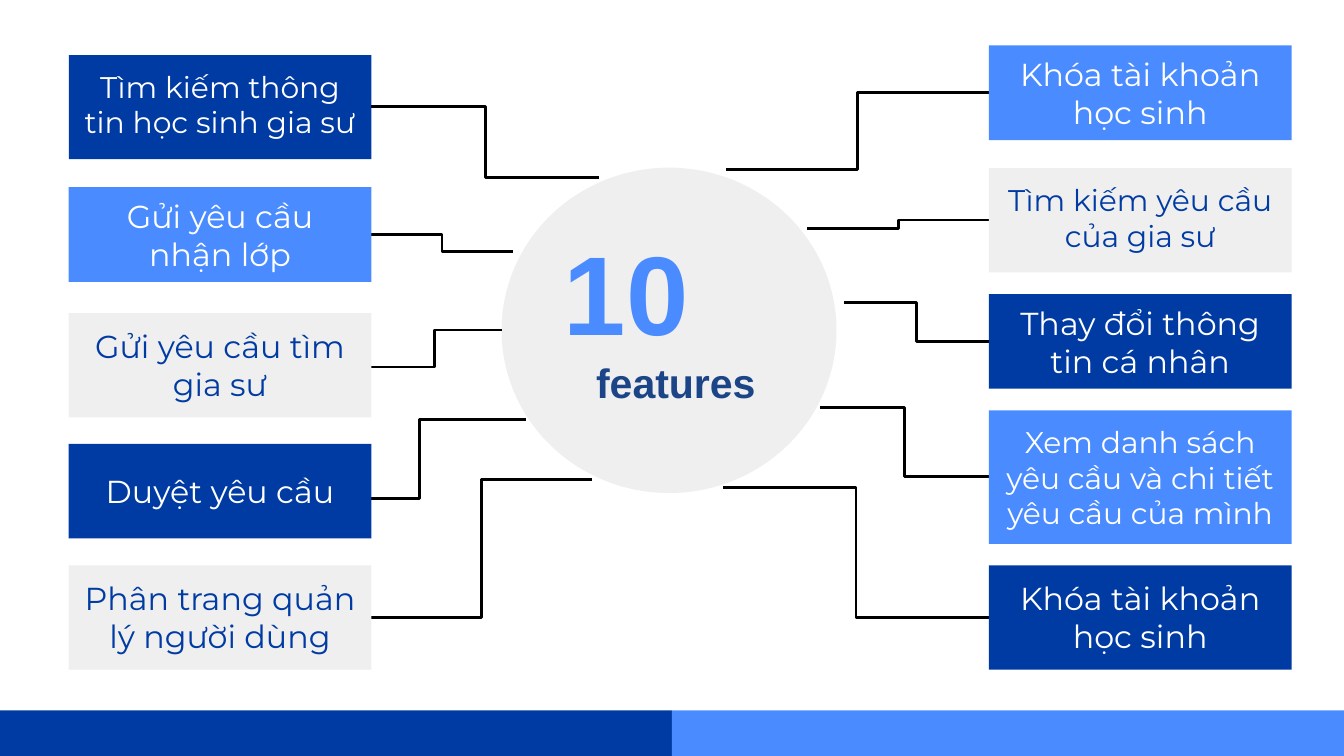
from dataclasses import dataclass

from lxml import etree
from pptx import Presentation
from pptx.dml.color import RGBColor
from pptx.enum.shapes import MSO_CONNECTOR, MSO_SHAPE
from pptx.enum.text import MSO_ANCHOR, MSO_AUTO_SIZE, PP_ALIGN
from pptx.oxml.ns import qn
from pptx.shapes.autoshape import Shape
from pptx.slide import Slide
from pptx.text.text import TextFrame
from pptx.util import Cm, Pt

RECTANGLE = MSO_SHAPE.RECTANGLE
OVAL = MSO_SHAPE.OVAL
ELBOW = MSO_CONNECTOR.ELBOW
TOP = MSO_ANCHOR.TOP
MIDDLE = MSO_ANCHOR.MIDDLE
CENTER = PP_ALIGN.CENTER
LEFT = PP_ALIGN.LEFT
NO_AUTOFIT = MSO_AUTO_SIZE.NONE

NAVY = "003BA3"
BLUE = "4A8CFF"
GREY = "EFEFEF"
WHITE = "FFFFFF"
BLACK = "000000"
INK = "1C4587"

SLIDE_WIDTH, SLIDE_HEIGHT = 25.4, 14.29
BAR_TOP = 13.43
CARD_WIDTH = 5.72
LEFT_COLUMN, RIGHT_COLUMN = 1.3, 18.69
INSET = 0.25


@dataclass(frozen=True)
class Feature:
    text: str
    left: float
    top: float
    height: float
    fill: str
    size: int
    anchor: MSO_ANCHOR


@dataclass(frozen=True)
class Branch:
    start_x: float
    start_y: float
    end_x: float
    end_y: float


FEATURES = [
    Feature("Tìm kiếm thông tin học sinh gia sư", LEFT_COLUMN, 1.04, 1.97, NAVY, 16, TOP),
    Feature("Gửi yêu cầu nhận lớp", LEFT_COLUMN, 3.54, 1.79, BLUE, 17, MIDDLE),
    Feature("Gửi yêu cầu tìm gia sư", LEFT_COLUMN, 5.92, 1.97, GREY, 17, TOP),
    Feature("Duyệt yêu cầu", LEFT_COLUMN, 8.39, 1.79, NAVY, 17, MIDDLE),
    Feature("Phân trang quản lý người dùng", LEFT_COLUMN, 10.69, 1.97, GREY, 17, TOP),
    Feature("Khóa tài khoản học sinh", RIGHT_COLUMN, 0.86, 1.79, BLUE, 17, MIDDLE),
    Feature("Tìm kiếm yêu cầu của gia sư", RIGHT_COLUMN, 3.18, 1.97, GREY, 16, TOP),
    Feature("Thay đổi thông tin cá nhân", RIGHT_COLUMN, 5.56, 1.79, NAVY, 17, MIDDLE),
    Feature("Xem danh sách yêu cầu và chi tiết yêu cầu của mình",
            RIGHT_COLUMN, 7.76, 2.52, BLUE, 16, MIDDLE),
    Feature("Khóa tài khoản học sinh", RIGHT_COLUMN, 10.69, 1.97, NAVY, 17, TOP),
]

LEFT_EDGE = LEFT_COLUMN + CARD_WIDTH
BRANCHES = [
    Branch(LEFT_EDGE, 2.01, 11.32, 3.35),
    Branch(LEFT_EDGE, 4.43, 9.69, 4.75),
    Branch(6.96, 6.94, 9.48, 6.24),
    Branch(5.92, 9.43, 9.94, 7.93),
    Branch(LEFT_EDGE, 11.67, 11.18, 9.07),
    Branch(RIGHT_COLUMN, 1.75, 13.72, 3.2),
    Branch(RIGHT_COLUMN, 4.16, 15.26, 4.32),
    Branch(RIGHT_COLUMN, 6.45, 15.95, 5.72),
    Branch(RIGHT_COLUMN, 9.01, 15.5, 7.7),
    Branch(RIGHT_COLUMN, 11.67, 13.67, 9.22),
]


def color(value: str) -> RGBColor:
    return RGBColor.from_string(value)


def paint(shape: Shape, fill: str) -> None:
    shape.fill.solid()
    shape.fill.fore_color.rgb = color(fill)
    shape.line.fill.background()


def add_block(slide: Slide, kind: MSO_SHAPE, left: float, top: float,
              width: float, height: float, fill: str) -> Shape:
    block = slide.shapes.add_shape(kind, Cm(left), Cm(top), Cm(width), Cm(height))
    block.shadow.inherit = False
    paint(block, fill)
    return block


def prepare_text(frame: TextFrame, anchor: MSO_ANCHOR) -> None:
    frame.word_wrap = True
    frame.auto_size = NO_AUTOFIT
    frame.vertical_anchor = anchor
    frame.margin_left = frame.margin_right = Cm(INSET)
    frame.margin_top = frame.margin_bottom = Cm(INSET)


def write(paragraph, text: str, font: str, size: int, ink: str,
          align: PP_ALIGN, bold: bool = False) -> None:
    paragraph.alignment = align
    run = paragraph.add_run()
    run.text = text
    run.font.name = font
    run.font.size = Pt(size)
    run.font.bold = bold
    run.font.color.rgb = color(ink)


def draw_branch(slide: Slide, branch: Branch) -> None:
    line = slide.shapes.add_connector(ELBOW, Cm(branch.start_x), Cm(branch.start_y),
                                      Cm(branch.end_x), Cm(branch.end_y))
    line.line.color.rgb = color(BLACK)
    line.line.width = Pt(1.5)
    etree.SubElement(line._element.spPr, qn("a:effectLst"))


def draw_hub(slide: Slide) -> None:
    hub = add_block(slide, OVAL, 9.48, 3.17, 6.33, 6.15, GREY)
    frame = hub.text_frame
    prepare_text(frame, MIDDLE)
    frame.margin_bottom = Cm(0.82)
    count = frame.paragraphs[0]
    write(count, "10", "Arial", 60, BLUE, LEFT, True)
    caption = frame.add_paragraph()
    caption._p.get_or_add_pPr().set("marL", str(Cm(0.61)))
    write(caption, "features", "Arial", 22, INK, LEFT, True)


def fill_card(card: Shape, feature: Feature) -> None:
    prepare_text(card.text_frame, feature.anchor)
    ink = NAVY if feature.fill == GREY else WHITE
    write(card.text_frame.paragraphs[0], feature.text, "Montserrat", feature.size, ink, CENTER)


def draw_title_card(slide: Slide, feature: Feature) -> None:
    title = slide.shapes.title
    title.left, title.top = Cm(feature.left), Cm(feature.top)
    title.width, title.height = Cm(CARD_WIDTH), Cm(feature.height)
    paint(title, feature.fill)
    fill_card(title, feature)


def draw_card(slide: Slide, feature: Feature) -> None:
    card = add_block(slide, RECTANGLE, feature.left, feature.top,
                     CARD_WIDTH, feature.height, feature.fill)
    fill_card(card, feature)


def main() -> None:
    deck = Presentation()
    deck.slide_width, deck.slide_height = Cm(SLIDE_WIDTH), Cm(SLIDE_HEIGHT)
    slide = deck.slides.add_slide(deck.slide_layouts[5])
    half = SLIDE_WIDTH / 2
    for column, fill in enumerate((NAVY, BLUE)):
        add_block(slide, RECTANGLE, column * half, BAR_TOP, half, SLIDE_HEIGHT - BAR_TOP, fill)
    draw_hub(slide)
    for branch in BRANCHES:
        draw_branch(slide, branch)
    draw_title_card(slide, FEATURES[0])
    for feature in FEATURES[1:]:
        draw_card(slide, feature)
    deck.save("out.pptx")


if __name__ == "__main__":
    main()
